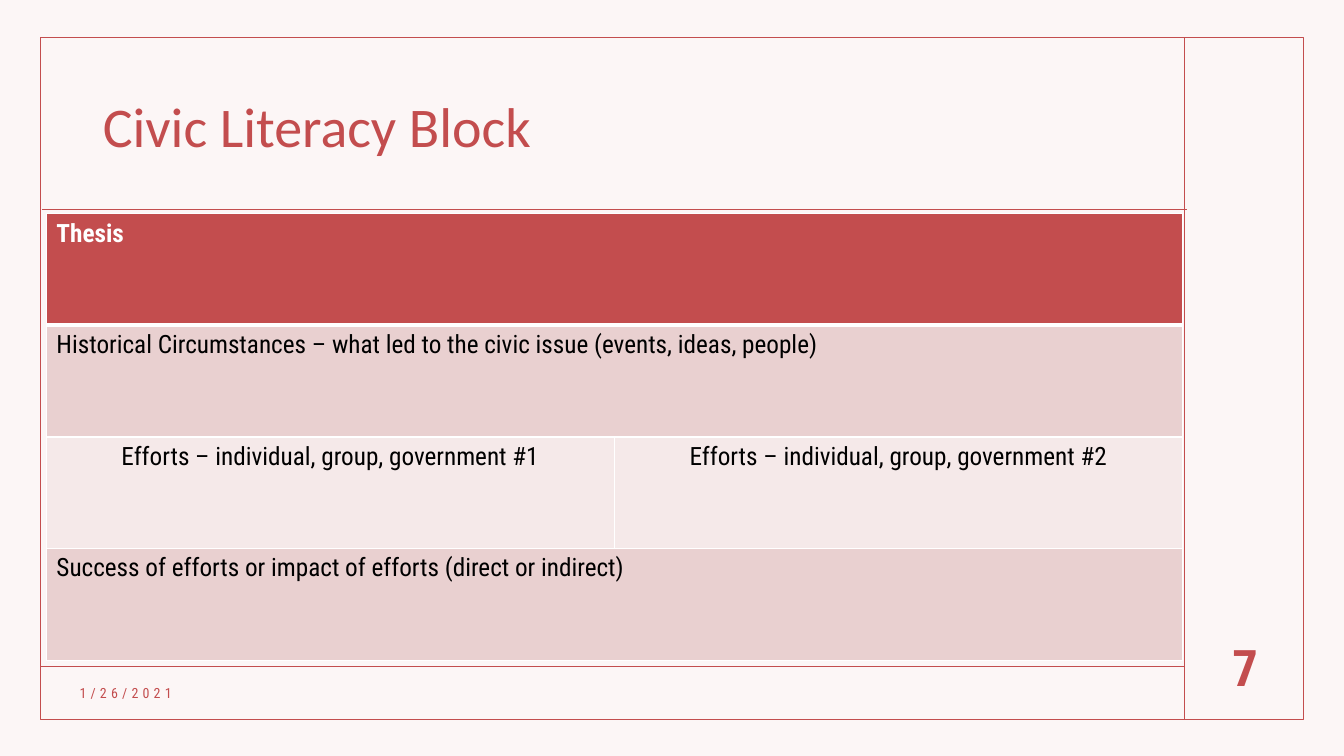
"""Build the Civic Literacy Block slide with its planning table."""
import lxml.etree
import pptx
import pptx.dml.color
import pptx.enum.shapes
import pptx.enum.text
import pptx.oxml
import pptx.oxml.ns
import pptx.util

Inches = pptx.util.Inches
Pt = pptx.util.Pt
ALIGN = pptx.enum.text.PP_ALIGN
MIDDLE = pptx.enum.text.MSO_ANCHOR.MIDDLE
RED, WHITE, BLACK = "C34D4E", "FFFFFF", "000000"
ROSE, PALE = "E9D0D0", "F5E9E9"


def color(hex_code):
    """Return the colour for a hex string."""
    return pptx.dml.color.RGBColor.from_string(hex_code)


def format_text(text_frame, size, hex_code, bold=False, align=ALIGN.LEFT, name="Roboto Condensed"):
    """Format the first paragraph of a text frame and return its run."""
    paragraph = text_frame.paragraphs[0]
    paragraph.alignment = align
    run = paragraph.runs[0]
    run.font.size = Pt(size)
    run.font.name = name
    run.font.bold = bold
    run.font.color.rgb = color(hex_code)
    return run


presentation = pptx.Presentation()
presentation.slide_width = Inches(13.33)
presentation.slide_height = Inches(7.5)
slide = presentation.slides.add_slide(presentation.slide_layouts[5])
slide.background.fill.solid()
slide.background.fill.fore_color.rgb = color("FCF6F6")

frame = slide.shapes.add_shape(
    pptx.enum.shapes.MSO_SHAPE.RECTANGLE, Inches(0.4), Inches(0.37), Inches(12.53), Inches(6.77))
frame.shadow.inherit = False
frame.fill.background()
frame.line.color.rgb = color(RED)
frame.line.width = Pt(1)

dividers = [(11.75, 0.37, 11.75, 7.13), (0.41, 6.61, 11.75, 6.61), (0.42, 2.08, 11.77, 2.08)]
for ends in dividers:
    divider = slide.shapes.add_connector(
        pptx.enum.shapes.MSO_CONNECTOR.STRAIGHT, *[Inches(end) for end in ends])
    divider.line.color.rgb = color(RED)
    divider.line.width = Pt(1)
    lxml.etree.SubElement(divider._element.spPr, pptx.oxml.ns.qn("a:effectLst"))

title = slide.shapes.title
title.left, title.top = Inches(0.92), Inches(0.6)
title.width, title.height = Inches(10.42), Inches(1.36)
title.text_frame.text = "Civic Literacy Block"
title.text_frame.vertical_anchor = MIDDLE
title.text_frame.paragraphs[0].line_spacing = 0.9
format_text(title.text_frame, 40, RED, name="Calibri")

rows = [
    (["Thesis"], RED),
    (["Historical Circumstances – what led to the civic issue (events, ideas, people)"], ROSE),
    (["Efforts – individual, group, government #1",
      "Efforts – individual, group, government #2"], PALE),
    (["Success of efforts or impact of efforts (direct or indirect)"], ROSE),
]
table = slide.shapes.add_table(
    len(rows), 2, Inches(0.46), Inches(2.12), Inches(11.27), Inches(4.43)).table
table.first_row = False
table.horz_banding = False
for row_index, (texts, fill) in enumerate(rows):
    merged = len(texts) == 1
    if merged:
        table.cell(row_index, 0).merge(table.cell(row_index, 1))
    for column_index, text in enumerate(texts):
        cell = table.cell(row_index, column_index)
        cell.text_frame.text = text
        header = row_index == 0
        format_text(cell.text_frame, 18, WHITE if header else BLACK, header,
                    ALIGN.LEFT if merged else ALIGN.CENTER)
    for column_index in range(2):
        cell = table.cell(row_index, column_index)
        cell.fill.solid()
        cell.fill.fore_color.rgb = color(fill)
        properties = cell._tc.get_or_add_tcPr()
        for position, side in enumerate("LRTB"):
            below_header = (row_index, side) in [(0, "B"), (1, "T")]
            width = Pt(3 if below_header else 1)
            properties.insert(position, pptx.oxml.parse_xml(
                f'<a:ln{side} {pptx.oxml.ns.nsdecls("a")} w="{width}"><a:solidFill>'
                f'<a:srgbClr val="{WHITE}"/></a:solidFill></a:ln{side}>'))

footers = [
    ("1/26/2021", (0.69, 6.72, 3.45, 0.31), 10, False, ALIGN.LEFT, 300),
    ("7", (11.83, 6.2, 1.04, 0.83), 36, True, ALIGN.CENTER, 0),
]
for text, box, size, bold, align, spacing in footers:
    footer = slide.shapes.add_textbox(*[Inches(length) for length in box])
    footer.text_frame.word_wrap = True
    footer.text_frame.vertical_anchor = MIDDLE
    footer.text_frame.text = text
    run = format_text(footer.text_frame, size, RED, bold, align)
    run._r.get_or_add_rPr().set("spc", str(spacing))

presentation.save("out.pptx")
